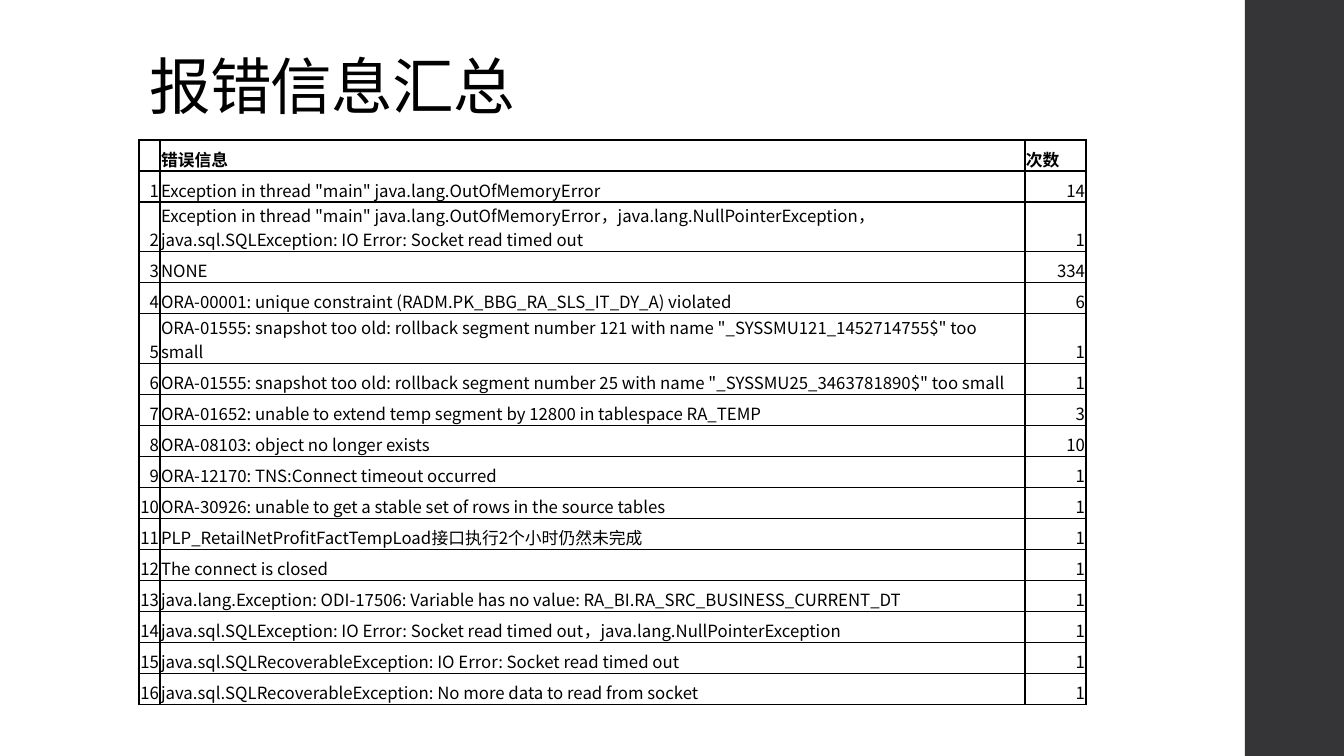
from lxml.etree import SubElement
from pptx import Presentation
from pptx.dml.color import RGBColor
from pptx.enum.shapes import MSO_SHAPE as SHAPE
from pptx.enum.text import MSO_ANCHOR as ANCHOR, PP_ALIGN as ALIGN
from pptx.oxml import parse_xml
from pptx.oxml.ns import nsdecls, qn
from pptx.util import Pt

PX = 914400 / 100.8
COLORS = {"text": "000000", "line": "000000", "bar": "353537"}
TITLE_FONT = "TeX Gyre Schola"
BODY_FONT = "Noto Sans CJK SC"

ERRORS = [
    ('Exception in thread "main" java.lang.OutOfMemoryError', 14),
    ('Exception in thread "main" java.lang.OutOfMemoryError，java.lang.NullPointerException，'
     'java.sql.SQLException: IO Error: Socket read timed out', 1),
    ("NONE", 334),
    ("ORA-00001: unique constraint (RADM.PK_BBG_RA_SLS_IT_DY_A) violated", 6),
    ('ORA-01555: snapshot too old: rollback segment number 121 with name "_SYSSMU121_1452714755$" too small', 1),
    ('ORA-01555: snapshot too old: rollback segment number 25 with name "_SYSSMU25_3463781890$" too small', 1),
    ("ORA-01652: unable to extend temp segment by 12800 in tablespace RA_TEMP", 3),
    ("ORA-08103: object no longer exists", 10),
    ("ORA-12170: TNS:Connect timeout occurred", 1),
    ("ORA-30926: unable to get a stable set of rows in the source tables", 1),
    ("PLP_RetailNetProfitFactTempLoad接口执行2个小时仍然未完成", 1),
    ("The connect is closed", 1),
    ("java.lang.Exception: ODI-17506: Variable has no value: RA_BI.RA_SRC_BUSINESS_CURRENT_DT", 1),
    ("java.sql.SQLException: IO Error: Socket read timed out，java.lang.NullPointerException", 1),
    ("java.sql.SQLRecoverableException: IO Error: Socket read timed out", 1),
    ("java.sql.SQLRecoverableException: No more data to read from socket", 1),
]


def px(n):
    return round(n * PX)


def color(name):
    return RGBColor.from_string(COLORS[name])


class Deck:
    def __init__(self, width, height):
        self.prs = Presentation()
        self.prs.slide_width, self.prs.slide_height = px(width), px(height)
        self.s = self.prs.slides.add_slide(self.prs.slide_layouts[5])

    def font(self, p, size, latin, bold=False):
        p.font.size, p.font.bold, p.font.name = Pt(size), bold, latin
        p.font.color.rgb = color("text")
        for r in p.runs:
            SubElement(r.font._element, qn("a:ea")).set("typeface", BODY_FONT)

    def bar(self, x, y, w, h):
        sp = self.s.shapes.add_shape(SHAPE.RECTANGLE, *map(px, (x, y, w, h)))
        sp.shadow.inherit = False
        sp.fill.solid()
        sp.fill.fore_color.rgb = color("bar")
        sp.line.fill.background()

    def title(self, text, x, y, w, h):
        sp = self.s.shapes.title
        sp.left, sp.top, sp.width, sp.height = map(px, (x, y, w, h))
        tf = sp.text_frame
        tf.text, tf.vertical_anchor = text, ANCHOR.BOTTOM
        p = tf.paragraphs[0]
        p.alignment, p.line_spacing = ALIGN.LEFT, 0.9
        self.font(p, 44, TITLE_FONT)
        p.runs[0].font._element.set("spc", "-50")

    def borders(self, cell):
        tcPr = cell._tc.get_or_add_tcPr()
        for i, side in enumerate("LRTB"):
            tcPr.insert(i, parse_xml(
                f'<a:ln{side} {nsdecls("a")} w="{Pt(1)}"><a:solidFill>'
                f'<a:srgbClr val="{COLORS["line"]}"/></a:solidFill></a:ln{side}>'))

    def cell(self, cell, text, bold, align):
        cell.margin_left = cell.margin_right = cell.margin_top = px(1)
        cell.margin_bottom = 0
        cell.vertical_anchor = ANCHOR.BOTTOM
        cell.fill.background()
        self.borders(cell)
        cell.text = text
        p = cell.text_frame.paragraphs[0]
        p.alignment = align
        self.font(p, 12, BODY_FONT, bold)

    def table(self, rows, x, y, widths, row_height):
        size = sum(widths), row_height * len(rows)
        table = self.s.shapes.add_table(
            len(rows), len(widths), *map(px, (x, y, *size))).table
        table.first_row = table.horz_banding = False
        for column, width in zip(table.columns, widths):
            column.width = px(width)
        for i, row in enumerate(rows):
            table.rows[i].height = px(row_height)
            for j, value in enumerate(row):
                align = ALIGN.RIGHT if isinstance(value, int) else ALIGN.LEFT
                self.cell(table.cell(i, j), str(value), i == 0, align)


def main():
    deck = Deck(1344, 756)
    deck.bar(1245, 0, 99, 756)
    deck.title("报错信息汇总", 139, 40, 1068, 88)
    rows = [("", "错误信息", "次数")]
    rows += [(i, error, count) for i, (error, count) in enumerate(ERRORS, 1)]
    deck.table(rows, 139, 140, (21, 865, 61), 31)
    deck.prs.save("out.pptx")


if __name__ == "__main__":
    main()
